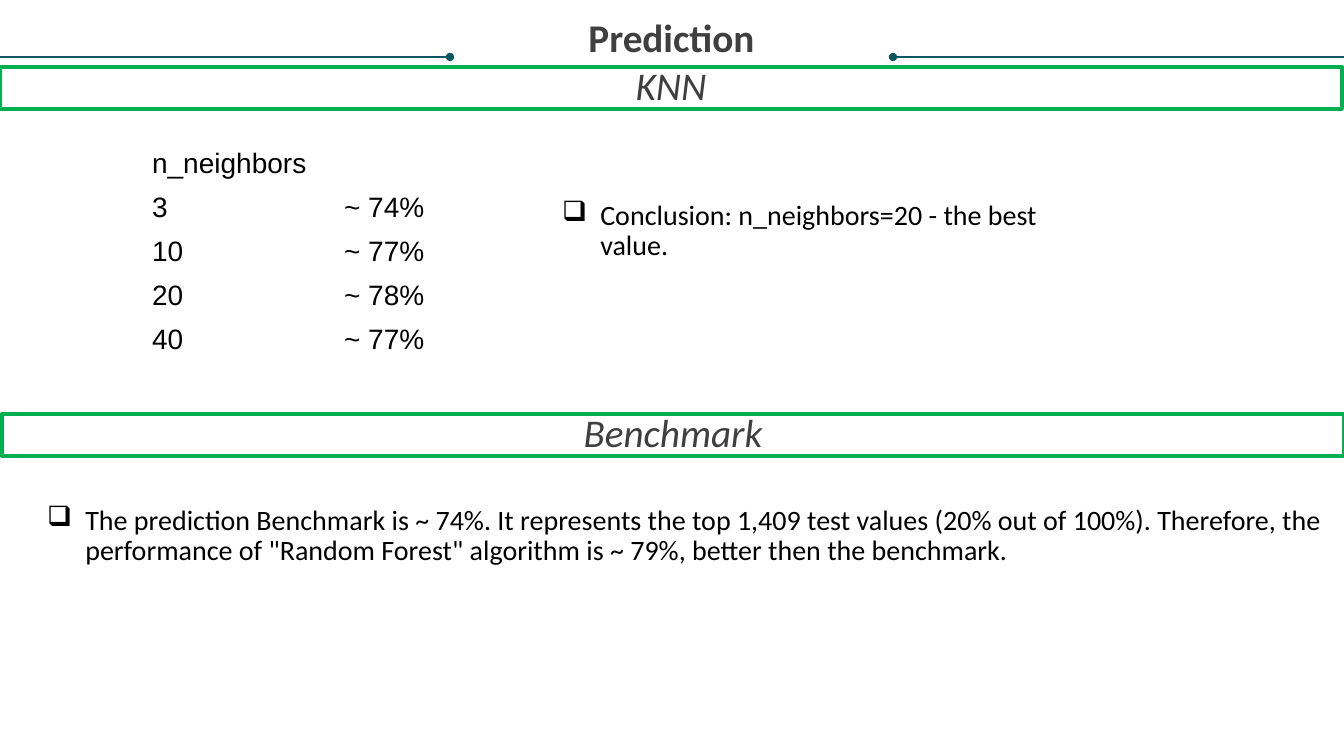
import dataclasses
import typing

import lxml.etree
import pptx
import pptx.dml.color
import pptx.enum.shapes
import pptx.enum.text
import pptx.oxml
import pptx.oxml.ns
import pptx.util

SCALE = 914400 / 100.8
ALIGN = pptx.enum.text.PP_ALIGN


@dataclasses.dataclass(frozen=True)
class Theme:
    black: str = "000000"
    gray: str = "3F3F3F"
    teal: str = "085763"
    green: str = "00B050"
    head: int = 28
    body: int = 20
    sans: str = "Calibri"
    grid: str = "Arial"


class Box(typing.NamedTuple):
    left: int
    top: int
    width: int
    height: int


class Banner(typing.NamedTuple):
    box: Box
    text: str


class Note(typing.NamedTuple):
    box: Box
    text: str


class Rule(typing.NamedTuple):
    start: int
    stop: int
    end: str


THEME = Theme()
TITLE = Box(25, 19, 1293, 86)
RULE_Y = 57
RULES = [Rule(893, 1344, "headEnd"), Rule(0, 450, "tailEnd")]
BANNERS = [
    Banner(Box(0, 67, 1342, 42), "KNN"),
    Banner(Box(2, 414, 1342, 42), "Benchmark"),
]
NOTES = [
    Note(Box(540, 196, 528, 96), "Conclusion: n_neighbors=20 - the best value."),
    Note(
        Box(25, 501, 1319, 96),
        "The prediction Benchmark is ~ 74%. It represents the top 1,409 test values "
        "(20% out of 100%). Therefore, the performance of \"Random Forest\" algorithm "
        "is ~ 79%, better then the benchmark.",
    ),
]
GRID = Box(142, 143, 360, 220)
COLS = [192, 168]
SCORES = [
    ("n_neighbors", ""),
    ("3", "~ 74%"),
    ("10", "~ 77%"),
    ("20", "~ 78%"),
    ("40", "~ 77%"),
]


def emu(size: int) -> int:
    return round(size * SCALE)


def place(box: Box) -> list[int]:
    return [emu(side) for side in box]


def rgb(code: str) -> pptx.dml.color.RGBColor:
    return pptx.dml.color.RGBColor.from_string(code)


def apply(item: typing.Any, form: dict[str, typing.Any]) -> None:
    for name, value in form.items():
        setattr(item, name, value)


def write(para: typing.Any, text: str, color: str, size: int, **form: typing.Any) -> None:
    run = para.add_run()
    run.text = text
    apply(run.font, {"name": THEME.sans, "size": pptx.util.Pt(size)} | form)
    run.font.color.rgb = rgb(color)


def draw_head(shape: typing.Any, text: str, **form: typing.Any) -> None:
    frame = shape.text_frame
    sides = ("left", "top", "right", "bottom")
    apply(frame, {f"margin_{side}": 0 for side in sides} | {"word_wrap": True})
    para = frame.paragraphs[0]
    apply(para, {"alignment": ALIGN.CENTER, "line_spacing": 0.9})
    write(para, text, THEME.gray, THEME.head, **form)


def draw_rule(slide: typing.Any, rule: Rule) -> None:
    y = emu(RULE_Y)
    kind = pptx.enum.shapes.MSO_CONNECTOR.STRAIGHT
    line = slide.shapes.add_connector(kind, emu(rule.start), y, emu(rule.stop), y)
    line.line.color.rgb = rgb(THEME.teal)
    line.line.width = pptx.util.Pt(0.75)
    tag = pptx.oxml.ns.qn
    lxml.etree.SubElement(line.line._get_or_add_ln(), tag(f"a:{rule.end}"), type="oval")
    lxml.etree.SubElement(line._element.spPr, tag("a:effectLst"))


def draw_banner(slide: typing.Any, banner: Banner) -> None:
    kind = pptx.enum.shapes.MSO_SHAPE.RECTANGLE
    shape = slide.shapes.add_shape(kind, *place(banner.box))
    shape.shadow.inherit = False
    shape.fill.background()
    shape.line.color.rgb = rgb(THEME.green)
    shape.line.width = pptx.util.Pt(3)
    draw_head(shape, banner.text, italic=True)


def draw_note(slide: typing.Any, note: Note) -> None:
    frame = slide.shapes.add_textbox(*place(note.box)).text_frame
    frame.word_wrap = True
    para = frame.paragraphs[0]
    apply(para, {"line_spacing": 0.9, "space_before": pptx.util.Pt(10)})
    props = para._p.get_or_add_pPr()
    props.set("marL", str(pptx.util.Inches(0.5)))
    props.set("indent", str(pptx.util.Inches(-0.38)))
    tag = pptx.oxml.ns.qn
    tint = lxml.etree.SubElement(props, tag("a:buClr"))
    lxml.etree.SubElement(tint, tag("a:srgbClr"), val=THEME.black)
    lxml.etree.SubElement(props, tag("a:buChar"), char="\u2751")
    write(para, note.text, THEME.black, THEME.body)


def draw_grid(slide: typing.Any) -> None:
    table = slide.shapes.add_table(len(SCORES), len(COLS), *place(GRID)).table
    apply(table, {"first_row": False, "horz_banding": False})
    for col, width in zip(table.columns, COLS):
        col.width = emu(width)
    for row, score in zip(table.rows, SCORES):
        for cell, text in zip(row.cells, score):
            cell.fill.background()
            if text:
                para = cell.text_frame.paragraphs[0]
                write(para, text, THEME.black, THEME.body, name=THEME.grid)


def main() -> None:
    deck = pptx.Presentation()
    apply(deck, {"slide_width": emu(1344), "slide_height": emu(756)})
    slide = deck.slides.add_slide(deck.slide_layouts[6])
    for rule in RULES:
        draw_rule(slide, rule)
    draw_head(slide.shapes.add_textbox(*place(TITLE)), "Prediction", bold=True)
    draw_grid(slide)
    for banner in BANNERS:
        draw_banner(slide, banner)
    for note in NOTES:
        draw_note(slide, note)
    deck.save("out.pptx")


main()
